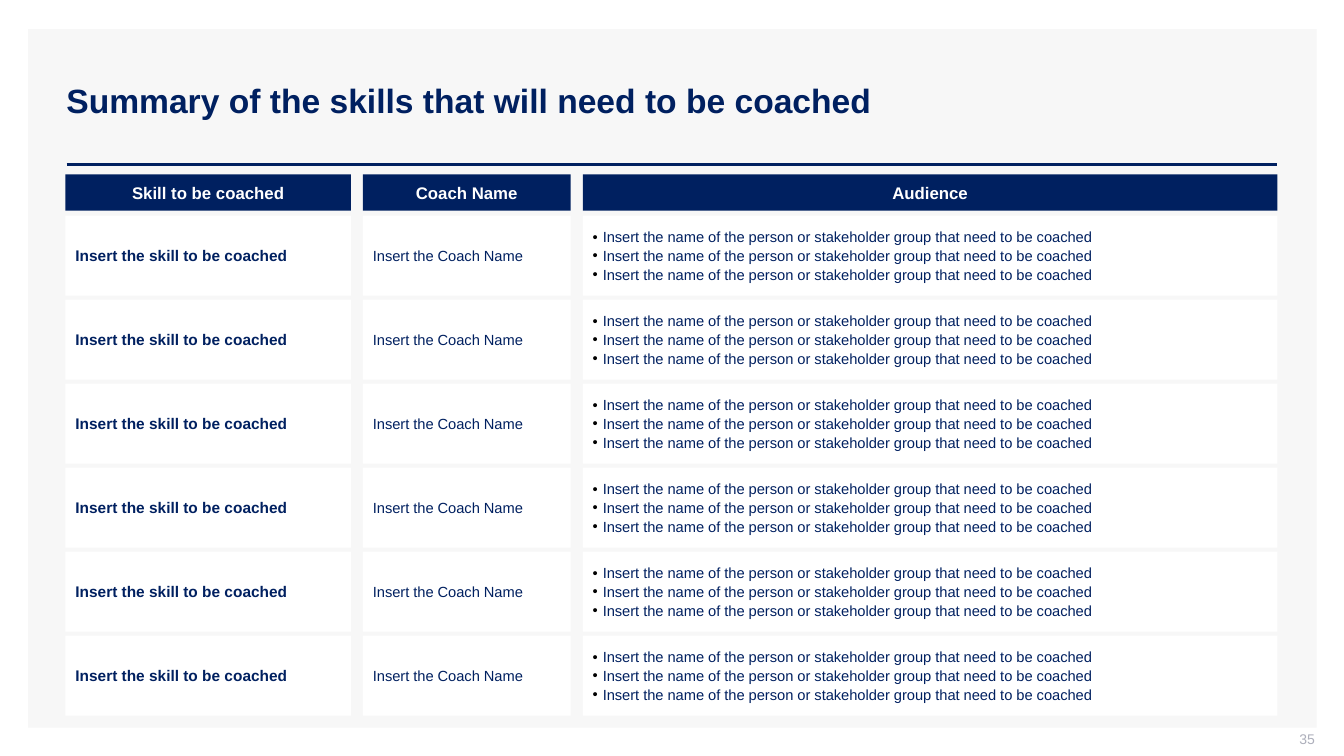
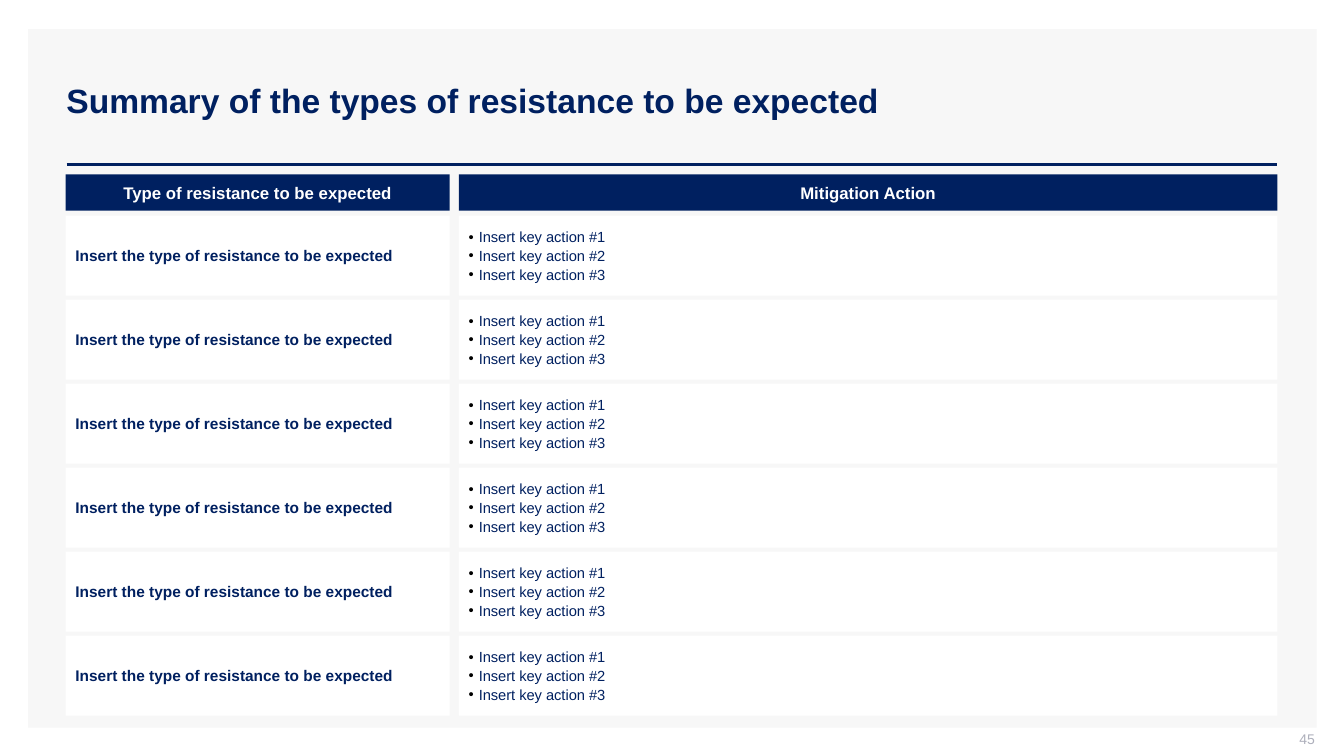
from dataclasses import dataclass
from typing import Any, Iterator

from lxml import etree
from pptx import Presentation
from pptx import util as u
from pptx.dml.color import RGBColor
from pptx.enum import shapes, text
from pptx.oxml.ns import qn


@dataclass(frozen=True)
class Theme:
    font: str = "Arial"
    navy: str = "002060"
    white: str = "FFFFFF"
    panel: str = "F7F7F7"
    page_number: str = "ADAFBB"
    bullet: str = "000000"
    title_size: float = 24
    header_size: float = 12
    lead_size: float = 11
    body_size: float = 10.5
    number_size: float = 10
    rule_width: float = 2
    bullet_indent: float = 0.1
    bullet_gap: float = 0.8


THEME = Theme()


@dataclass(frozen=True)
class Area:
    """A rectangle on the page, in inches."""
    left: float
    top: float
    width: float
    height: float

    def emu(self) -> list[int]:
        return [u.Inches(n) for n in (self.left, self.top, self.width, self.height)]


@dataclass(frozen=True)
class Style:
    size: float
    color: str
    bold: bool = False
    align: Any = text.PP_ALIGN.LEFT
    insets: tuple[float, float, float, float] = (0.1, 0.05, 0.1, 0.05)
    bulleted: bool = False


TITLE = Style(THEME.title_size, THEME.navy, bold=True)
NUMBER = Style(THEME.number_size, THEME.page_number,
               align=text.PP_ALIGN.RIGHT, insets=(0.1, 0, 0, 0.05))
HEADER = Style(THEME.header_size, THEME.white, bold=True,
               align=text.PP_ALIGN.CENTER, insets=(0.02,) * 4)
LEAD = Style(THEME.lead_size, THEME.navy, bold=True)
BODY = Style(THEME.body_size, THEME.navy)
BULLETS = Style(THEME.body_size, THEME.navy, bulleted=True)


@dataclass(frozen=True)
class Column:
    heading: str
    lines: list[str]
    style: Style
    width: float | None = None  # None takes the width that is left


@dataclass(frozen=True)
class Summary:
    title: str
    number: int
    gap: float
    columns: list[Column]


PAGE_WIDTH, PAGE_HEIGHT = 13.33, 7.5
PANEL = Area(0.28, 0.29, 12.78, 6.93)
TITLE_AREA = Area(0.56, 0.4, 12.11, 1.19)
NUMBER_AREA = Area(10.04, 7.25, 3, 0.21)
RULE_LEFT, RULE_TOP = 0.66, 1.63
GRID_LEFT, GRID_RIGHT = 0.65, 12.67
HEADER_TOP, HEADER_HEIGHT = 1.73, 0.36
ROWS_TOP, ROWS_BOTTOM, ROW_GAP, ROW_COUNT = 2.14, 7.1, 0.04, 6
ROW_PITCH = (ROWS_BOTTOM - ROWS_TOP + ROW_GAP) / ROW_COUNT

SUMMARIES = [
    Summary("Summary of the skills that will need to be coached", 35, 0.12, [
        Column("Skill to be coached", ["Insert the skill to be coached"], LEAD, 2.83),
        Column("Coach Name", ["Insert the Coach Name"], BODY, 2.06),
        Column("Audience", ["Insert the name of the person or stakeholder group "
                            "that need to be coached"] * 3, BULLETS),
    ]),
    Summary("Summary of the types of resistance to be expected", 45, 0.09, [
        Column("Type of resistance to be expected",
               ["Insert the type of resistance to be expected"], LEAD, 3.81),
        Column("Mitigation Action",
               [f"Insert key action #{n}" for n in range(1, 4)], BULLETS),
    ]),
]


def set_all(target: Any, values: dict[str, Any]) -> None:
    for name, value in values.items():
        setattr(target, name, value)


def add_bullet(para: Any) -> None:
    properties = para._p.get_or_add_pPr()
    indent = u.Inches(THEME.bullet_indent)
    properties.set("marL", str(indent))
    properties.set("indent", str(-indent))
    color = etree.SubElement(properties, qn("a:buClr"))
    etree.SubElement(color, qn("a:srgbClr"), val=THEME.bullet)
    etree.SubElement(properties, qn("a:buFont"), typeface=THEME.font)
    etree.SubElement(properties, qn("a:buChar"), char="•")


def write(box: Any, lines: list[str], style: Style) -> None:
    frame = box.text_frame
    left, top, right, bottom = (u.Inches(n) for n in style.insets)
    set_all(frame, {
        "word_wrap": True, "vertical_anchor": text.MSO_ANCHOR.MIDDLE,
        "margin_left": left, "margin_top": top,
        "margin_right": right, "margin_bottom": bottom,
    })
    for index, line in enumerate(lines):
        para = frame.add_paragraph() if index else frame.paragraphs[0]
        para.alignment = style.align
        if style.bulleted:
            add_bullet(para)
        if index:
            para.space_before = u.Pt(THEME.bullet_gap)
        span = para.add_run()
        span.text = line
        set_all(span.font, {"name": THEME.font, "size": u.Pt(style.size),
                            "bold": style.bold})
        span.font.color.rgb = RGBColor.from_string(style.color)


def add_rectangle(page: Any, area: Area, fill: str) -> Any:
    box = page.shapes.add_shape(shapes.MSO_SHAPE.RECTANGLE, *area.emu())
    box.shadow.inherit = False
    box.fill.solid()
    box.fill.fore_color.rgb = RGBColor.from_string(fill)
    box.line.fill.background()
    return box


def add_text(page: Any, area: Area, line: str, style: Style) -> None:
    write(page.shapes.add_textbox(*area.emu()), [line], style)


def add_rule(page: Any) -> None:
    left, top, right = (u.Inches(n) for n in (RULE_LEFT, RULE_TOP, GRID_RIGHT))
    rule = page.shapes.add_connector(shapes.MSO_CONNECTOR.STRAIGHT,
                                     left, top, right, top)
    rule.line.width = u.Pt(THEME.rule_width)
    rule.line.color.rgb = RGBColor.from_string(THEME.navy)
    etree.SubElement(rule._element.spPr, qn("a:effectLst"))


def add_frame(page: Any, title: str, number: int) -> None:
    """Draw what every page shares: panel, rule, title and page number."""
    add_rectangle(page, PANEL, THEME.panel)
    add_rule(page)
    add_text(page, TITLE_AREA, title, TITLE)
    add_text(page, NUMBER_AREA, str(number), NUMBER)


def place_columns(summary: Summary) -> Iterator[tuple[Column, float, float]]:
    """Give each column with its left edge and width."""
    left = GRID_LEFT
    for column in summary.columns:
        width = column.width or GRID_RIGHT - left
        yield column, left, width
        left += width + summary.gap


def add_grid(page: Any, summary: Summary) -> None:
    for column, left, width in place_columns(summary):
        header = Area(left, HEADER_TOP, width, HEADER_HEIGHT)
        write(add_rectangle(page, header, THEME.navy), [column.heading], HEADER)
        for row in range(ROW_COUNT):
            cell = Area(left, ROWS_TOP + row * ROW_PITCH, width, ROW_PITCH - ROW_GAP)
            write(add_rectangle(page, cell, THEME.white), column.lines, column.style)


def main() -> None:
    deck = Presentation()
    set_all(deck, {"slide_width": u.Inches(PAGE_WIDTH),
                   "slide_height": u.Inches(PAGE_HEIGHT)})
    blank = deck.slide_layouts[6]
    for summary in SUMMARIES:
        page = deck.slides.add_slide(blank)
        add_frame(page, summary.title, summary.number)
        add_grid(page, summary)
    deck.save("out.pptx")


if __name__ == "__main__":
    main()
